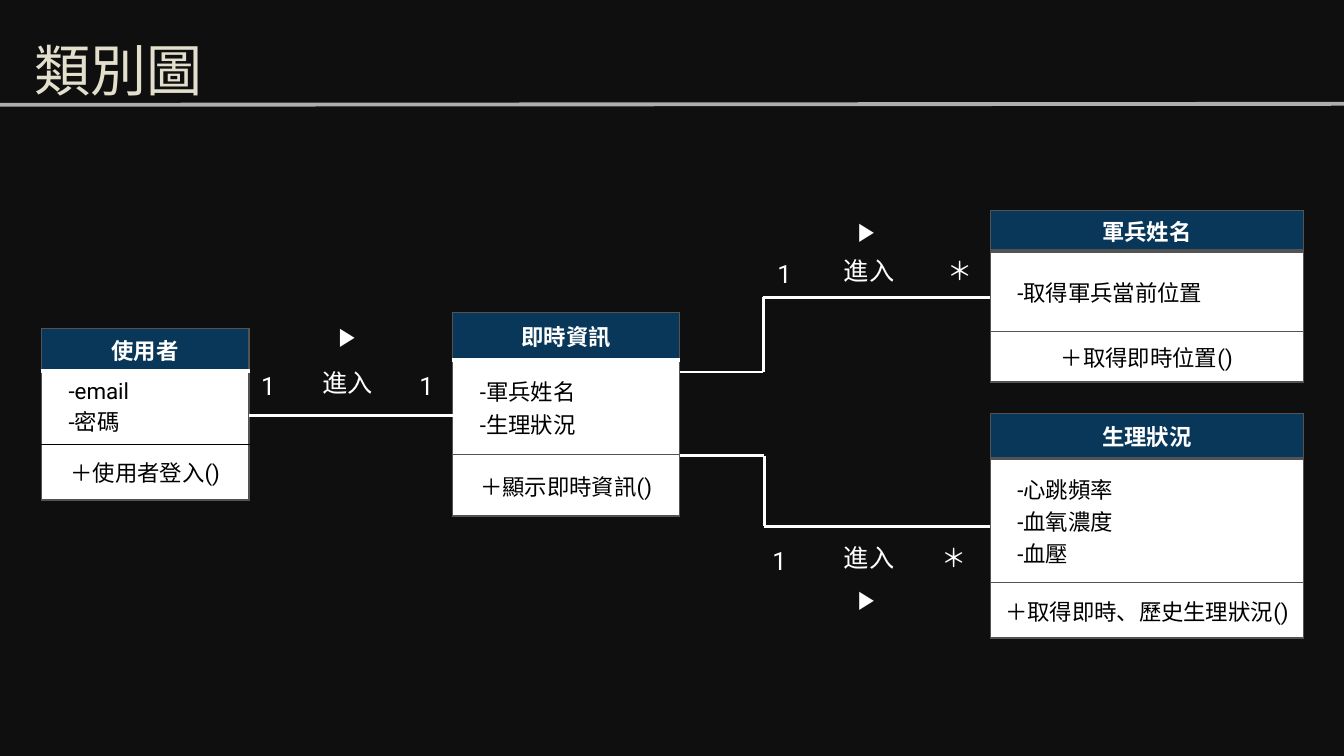
from lxml import etree
from pptx import Presentation
from pptx.dml.color import RGBColor
from pptx.enum import shapes, text
from pptx.oxml import ns
from pptx.util import Inches, Pt

COLORS = {
    "background": "0F0F0F", "title": "E2DFCC", "rule": "F2F2F2", "header": "093759",
    "white": "FFFFFF", "black": "000000", "border": "535353",
}
CJK_FONT = "Noto Sans CJK SC"
LATIN_FONT = "Roboto"
LIST_INDENT = 0.27

# left, top, width, row heights, name, attributes, operation, header rule, divider
CLASSES = [
    (0.41, 3.26, 2.06, (0.42, 0.73, 0.55), "使用者", ["-email", "-密碼"],
     "＋使用者登入()", "white", "black"),
    (4.49, 3.1, 2.25, (0.47, 0.94, 0.61), "即時資訊", ["-軍兵姓名", "-生理狀況"],
     "＋顯示即時資訊()", "white", "border"),
    (9.82, 2.09, 3.11, (0.4, 0.8, 0.5), "軍兵姓名", ["-取得軍兵當前位置"],
     "＋取得即時位置()", "border", "border"),
    (9.82, 4.1, 3.11, (0.45, 1.23, 0.55), "生理狀況", ["-心跳頻率", "-血氧濃度", "-血壓"],
     "＋取得即時、歷史生理狀況()", "border", "border"),
]

# corner points of each association
ASSOCIATIONS = [
    [(2.47, 4.12), (4.49, 4.12)],
    [(6.74, 3.69), (7.57, 3.69), (7.57, 2.95), (9.82, 2.95)],
    [(6.74, 4.52), (7.58, 4.52), (7.58, 5.22), (9.82, 5.22)],
]

# label top, arrow top, then the left of: near count, verb, arrow, far count; far count
LABELS = [
    (3.59, 3.13, 2.54, 3.15, 3.31, 4.11, "1"),
    (2.48, 2.09, 7.66, 8.32, 8.46, 9.35, "＊"),
    (5.33, 5.74, 7.61, 8.32, 8.46, 9.29, "＊"),
]
LABEL_SIZES = {"1": (0.25, 0.41), "進入": (0.61, 0.45), "＊": (0.36, 0.45), "▶": (0.33, 0.39)}


def rgb(name):
    return RGBColor.from_string(COLORS[name])


def apply_format(target, values):
    for name, value in values.items():
        setattr(target, name, value)


def add_run(paragraph, words, size, color, bold=False, font=LATIN_FONT):
    run = paragraph.add_run()
    run.text = words
    apply_format(run.font, {"size": Pt(size), "bold": bold, "name": font})
    run.font.color.rgb = rgb(color)
    east_asian = etree.SubElement(run.font._element, ns.qn("a:ea"))
    east_asian.set("typeface", CJK_FONT)


def add_line(slide, start, end, color="white", width=2, opacity=None):
    line = slide.shapes.add_connector(
        shapes.MSO_CONNECTOR.STRAIGHT, *(Inches(value) for value in start + end))
    line.line.width = Pt(width)
    line.line.color.rgb = rgb(color)
    properties = line._element.spPr
    if opacity:
        fill_color = properties.find(".//" + ns.qn("a:srgbClr"))
        etree.SubElement(fill_color, ns.qn("a:alpha")).set("val", str(opacity * 1000))
    etree.SubElement(properties, ns.qn("a:effectLst"))


def set_borders(cell, top, bottom):
    """Draw thin grey sides, with top and bottom given as (color, points)."""
    side = ("border", 1)
    borders = {"a:lnL": side, "a:lnR": side, "a:lnT": top, "a:lnB": bottom}
    properties = cell._tc.get_or_add_tcPr()
    for position, (tag, (color, width)) in enumerate(borders.items()):
        border = etree.Element(ns.qn(tag), w=str(Pt(width)))
        fill = etree.SubElement(border, ns.qn("a:solidFill"))
        etree.SubElement(fill, ns.qn("a:srgbClr")).set("val", COLORS[color])
        properties.insert(position, border)


def add_class(slide, left, top, width, heights, name, attributes, operation,
              header_rule, divider):
    table = slide.shapes.add_table(
        3, 1, Inches(left), Inches(top), Inches(width), Inches(sum(heights))).table
    table.columns[0].width = Inches(width)
    outer, thick, thin = ("border", 1), (header_rule, 3), (divider, 1)
    center, start = text.PP_ALIGN.CENTER, text.PP_ALIGN.LEFT
    rows = [
        ([name], "header", "white", True, center, 0, outer, thick),
        (attributes, "white", "black", False, start, LIST_INDENT, thick, thin),
        ([operation], "white", "black", False, center, 0, thin, outer),
    ]
    for index, (lines, fill, color, bold, alignment, indent, above, below) in enumerate(rows):
        table.rows[index].height = Inches(heights[index])
        cell = table.cell(index, 0)
        apply_format(cell, {
            "margin_left": Inches(indent), "margin_right": 0, "margin_top": 0,
            "margin_bottom": 0, "vertical_anchor": text.MSO_ANCHOR.MIDDLE})
        cell.fill.solid()
        cell.fill.fore_color.rgb = rgb(fill)
        set_borders(cell, above, below)
        for number, words in enumerate(lines):
            frame = cell.text_frame
            paragraph = frame.add_paragraph() if number else frame.paragraphs[0]
            paragraph.alignment = alignment
            add_run(paragraph, words, 16, color, bold)


def set_insets(frame, **values):
    margins = ("margin_left", "margin_right", "margin_top", "margin_bottom")
    apply_format(frame, dict.fromkeys(margins, Inches(0.05)) | values)


def add_label(slide, words, left, top):
    width, height = LABEL_SIZES[words]
    box = slide.shapes.add_textbox(Inches(left), Inches(top), Inches(width), Inches(height))
    set_insets(box.text_frame, word_wrap=False,
               auto_size=text.MSO_AUTO_SIZE.SHAPE_TO_FIT_TEXT)
    add_run(box.text_frame.paragraphs[0], words, 18, "white")


def add_association_labels(slide, top, arrow_top, near, verb, arrow, far, far_count):
    count_drop = {"1": 0.03, "＊": 0}
    add_label(slide, "1", near, top + count_drop["1"])
    add_label(slide, "進入", verb, top)
    add_label(slide, far_count, far, top + count_drop[far_count])
    add_label(slide, "▶", arrow, arrow_top)


def set_title(slide, words):
    title = slide.shapes.title
    apply_format(title, {"left": Inches(0.29), "top": Inches(0),
                         "width": Inches(4.65), "height": Inches(1.45)})
    set_insets(title.text_frame, vertical_anchor=text.MSO_ANCHOR.MIDDLE, word_wrap=True)
    paragraph = title.text_frame.paragraphs[0]
    apply_format(paragraph, {"alignment": text.PP_ALIGN.LEFT, "line_spacing": 0.9})
    add_run(paragraph, words, 40, "title", font=CJK_FONT)


def main():
    presentation = Presentation()
    apply_format(presentation, {"slide_width": Inches(13.33), "slide_height": Inches(7.5)})
    slide = presentation.slides.add_slide(presentation.slide_layouts[5])
    slide.background.fill.solid()
    slide.background.fill.fore_color.rgb = rgb("background")

    add_line(slide, (0, 1.04), (13.33, 1.03), "rule", 2.75, opacity=70)
    set_title(slide, "類別圖")
    for details in CLASSES:
        add_class(slide, *details)
    for points in ASSOCIATIONS:
        for start, end in zip(points, points[1:]):
            add_line(slide, start, end)
    for details in LABELS:
        add_association_labels(slide, *details)

    presentation.save("out.pptx")


if __name__ == "__main__":
    main()
